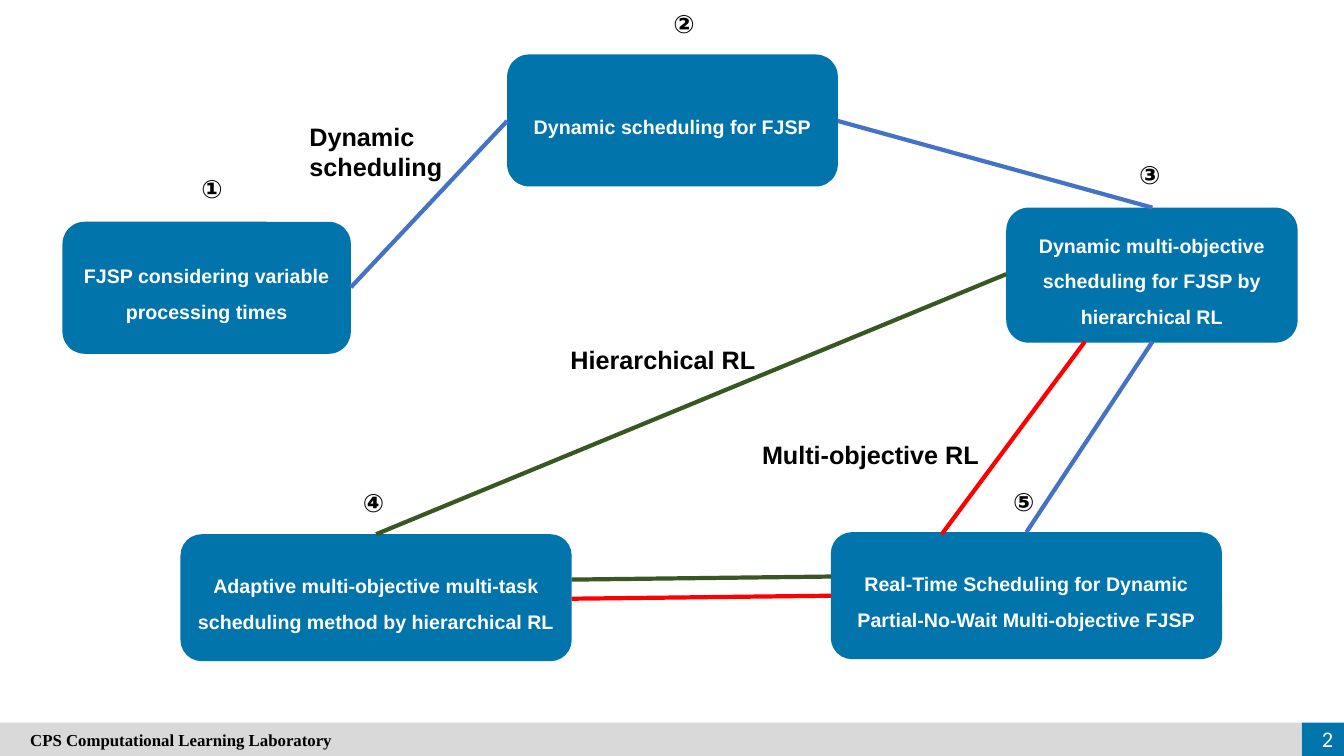
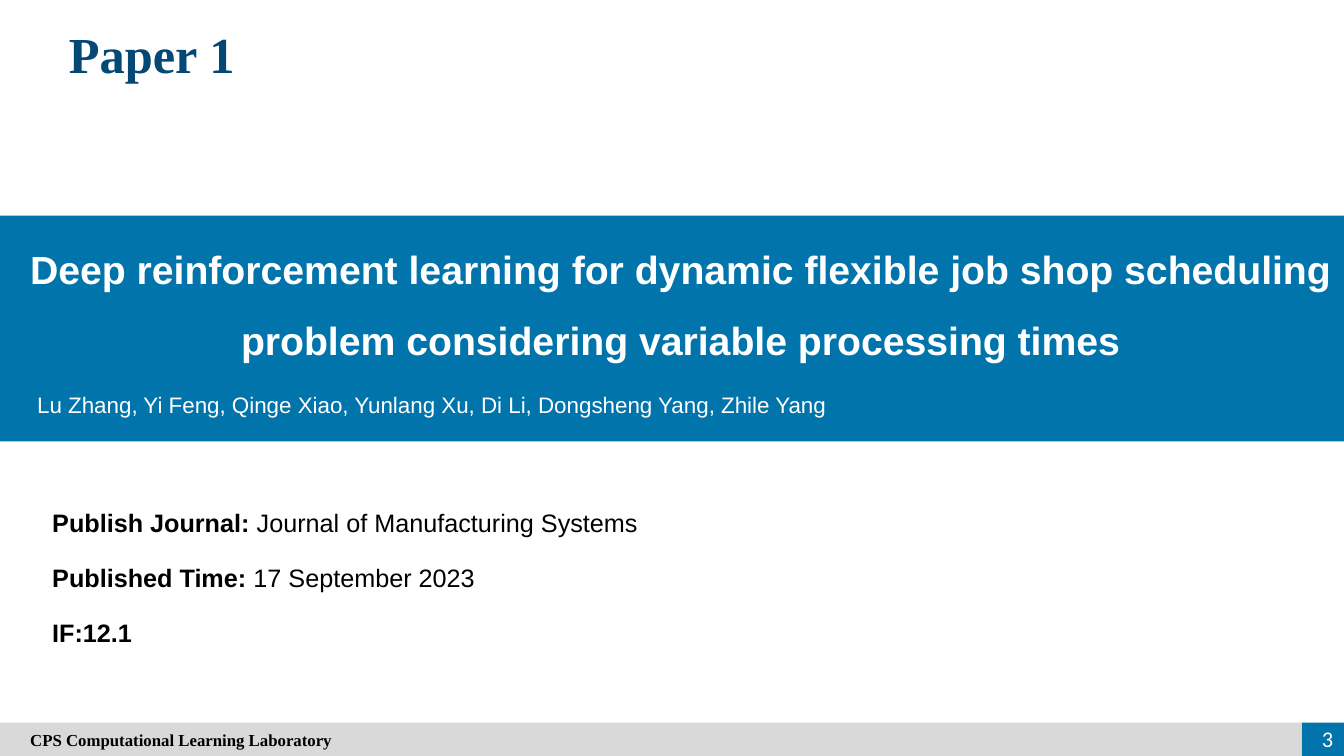
from typing import NamedTuple

from lxml.etree import SubElement
from pptx import Presentation
from pptx.dml.color import RGBColor
from pptx.enum.shapes import MSO_CONNECTOR, MSO_SHAPE
from pptx.enum.text import MSO_ANCHOR, PP_ALIGN
from pptx.oxml.ns import qn
from pptx.shapes.autoshape import Shape
from pptx.slide import Slide
from pptx.util import Inches, Pt

COLORS = {
    "blue": "0174AB", "navy": "044875", "gray": "D9D9D9", "white": "FFFFFF",
    "black": "000000", "link": "4472C4", "green": "385723", "red": "FF0000",
}
WIDTH, HEIGHT = 13.33, 7.5
FOOT_TOP, FOOT_SPLIT = 7.17, 12.91


class Box(NamedTuple):
    left: float
    top: float
    width: float
    height: float


class Style(NamedTuple):
    size: float = 18
    color: str = "black"
    bold: bool = True
    font: str = "Arial"
    align: PP_ALIGN = PP_ALIGN.LEFT
    spacing: float = 1.0


class Node(NamedTuple):
    box: Box
    text: str
    mark: str
    mark_x: float
    mark_y: float


class Link(NamedTuple):
    start: tuple[float, float]
    end: tuple[float, float]
    color: str


class Label(NamedTuple):
    box: Box
    text: str


class Fact(NamedTuple):
    name: str
    value: str


LABEL = Style()
NODE = Style(14, "white", align=PP_ALIGN.CENTER, spacing=1.5)
PAPER = NODE._replace(size=28)
AUTHORS = Style(16, "white", bold=False)
TITLE = Style(36, "navy", font="Times New Roman", align=PP_ALIGN.CENTER)
FOOTER = Style(12, font="Times New Roman")
NUMBER = Style(16, "white", False, "Calibri", PP_ALIGN.RIGHT)

NODES = [
    Node(Box(0.62, 2.2, 2.86, 1.31),
         "FJSP considering variable processing times", "①", 1.9, 1.67),
    Node(Box(5.03, 0.54, 3.28, 1.31),
         "Dynamic scheduling for FJSP", "②", 6.58, 0.03),
    Node(Box(9.98, 2.06, 2.89, 1.34),
         "Dynamic multi-objective scheduling for FJSP by hierarchical RL",
         "③", 11.2, 1.53),
    Node(Box(1.79, 5.3, 3.88, 1.26),
         "Adaptive multi-objective multi-task scheduling method by hierarchical RL",
         "④", 3.5, 4.79),
    Node(Box(8.24, 5.28, 3.88, 1.26),
         "Real-Time Scheduling for Dynamic Partial-No-Wait Multi-objective FJSP",
         "⑤", 9.95, 4.78),
]
LINKS = [
    Link((3.48, 2.85), (5.03, 1.2), "link"),
    Link((8.31, 1.2), (11.43, 2.06), "link"),
    Link((11.43, 3.39), (10.18, 5.28), "link"),
    Link((9.98, 2.72), (3.73, 5.3), "green"),
    Link((8.24, 5.72), (5.67, 5.75), "green"),
    Link((10.76, 3.39), (9.34, 5.3), "red"),
    Link((5.67, 5.94), (8.24, 5.91), "red"),
]
LABELS = [
    Label(Box(2.97, 1.15, 2.2, 0.71), "Dynamic scheduling"),
    Label(Box(7.46, 4.31, 2.6, 0.4), "Multi-objective RL"),
    Label(Box(5.56, 3.37, 2.6, 0.4), "Hierarchical RL"),
]
FACTS = [
    Fact("Publish Journal:", " Journal of Manufacturing Systems"),
    Fact("Published Time:", " 17 September 2023"),
    Fact("IF:12.1", ""),
]


def paint(name: str) -> RGBColor:
    return RGBColor.from_string(COLORS[name])


def write(shape: Shape, text: str, style: Style) -> None:
    """Set the text of a shape in one style."""
    shape.text_frame.word_wrap = True
    para = shape.text_frame.paragraphs[0]
    para.text = text
    para.alignment = style.align
    para.line_spacing = style.spacing
    font = para.font
    font.name, font.size, font.bold = style.font, Pt(style.size), style.bold
    font.color.rgb = paint(style.color)


def add_text(slide: Slide, box: Box, text: str, style: Style) -> Shape:
    shape = slide.shapes.add_textbox(*map(Inches, box))
    write(shape, text, style)
    return shape


def add_block(slide: Slide, box: Box, color: str,
              kind: MSO_SHAPE = MSO_SHAPE.RECTANGLE) -> Shape:
    """Add a filled shape with no outline."""
    shape = slide.shapes.add_shape(kind, *map(Inches, box))
    shape.shadow.inherit = False
    shape.fill.solid()
    shape.fill.fore_color.rgb = paint(color)
    shape.line.fill.background()
    return shape


def add_link(slide: Slide, link: Link) -> None:
    line = slide.shapes.add_connector(
        MSO_CONNECTOR.STRAIGHT, *map(Inches, link.start + link.end))
    line.line.color.rgb = paint(link.color)
    line.line.width = Pt(3)
    SubElement(line._element.spPr, qn("a:effectLst"))


def add_footer(slide: Slide, number: int) -> None:
    depth = HEIGHT - FOOT_TOP
    add_block(slide, Box(FOOT_SPLIT, FOOT_TOP, WIDTH - FOOT_SPLIT, depth), "blue")
    band = add_block(slide, Box(0, FOOT_TOP, FOOT_SPLIT, depth), "gray")
    write(band, "CPS Computational Learning Laboratory", FOOTER)
    band.text_frame.margin_left = Inches(0.3)
    page = add_text(slide, Box(12.69, 7.13, 0.63, 0.4), str(number), NUMBER)
    page.text_frame.vertical_anchor = MSO_ANCHOR.MIDDLE


def draw_map(slide: Slide) -> None:
    for node in NODES:
        block = add_block(slide, node.box, "blue", MSO_SHAPE.ROUNDED_RECTANGLE)
        write(block, node.text, NODE)
        add_text(slide, Box(node.mark_x, node.mark_y, 0.46, 0.4), node.mark, LABEL)
    for link in LINKS:
        add_link(slide, link)
    for label in LABELS:
        add_text(slide, label.box, label.text, LABEL)


def draw_paper(slide: Slide) -> None:
    add_text(slide, Box(0.38, 0.18, 2.25, 0.71), "Paper 1", TITLE)
    add_block(slide, Box(0, 2.14, WIDTH, 2.24), "blue")
    head = add_text(
        slide, Box(0.17, 2.19, 13.16, 1.43),
        "Deep reinforcement learning for dynamic flexible job shop scheduling "
        "problem considering variable processing times", PAPER)
    frame = head.text_frame
    frame.margin_left = frame.margin_right = 0
    frame.vertical_anchor = MSO_ANCHOR.MIDDLE
    add_text(slide, Box(0.27, 3.83, 12.7, 0.37),
             "Lu Zhang, Yi Feng, Qinge Xiao, Yunlang Xu, Di Li, "
             "Dongsheng Yang, Zhile Yang", AUTHORS)
    for row, fact in enumerate(FACTS):
        line = add_text(slide, Box(0.42, 4.98 + row * 0.55, 6.6, 0.4),
                        fact.name, LABEL)
        if fact.value:
            run = line.text_frame.paragraphs[0].add_run()
            run.text = fact.value
            run.font.bold = False


def main() -> None:
    deck = Presentation()
    deck.slide_width, deck.slide_height = Inches(WIDTH), Inches(HEIGHT)
    for number, draw in enumerate((draw_map, draw_paper), start=2):
        slide = deck.slides.add_slide(deck.slide_layouts[6])
        add_footer(slide, number)
        draw(slide)
    deck.save("out.pptx")


if __name__ == "__main__":
    main()
